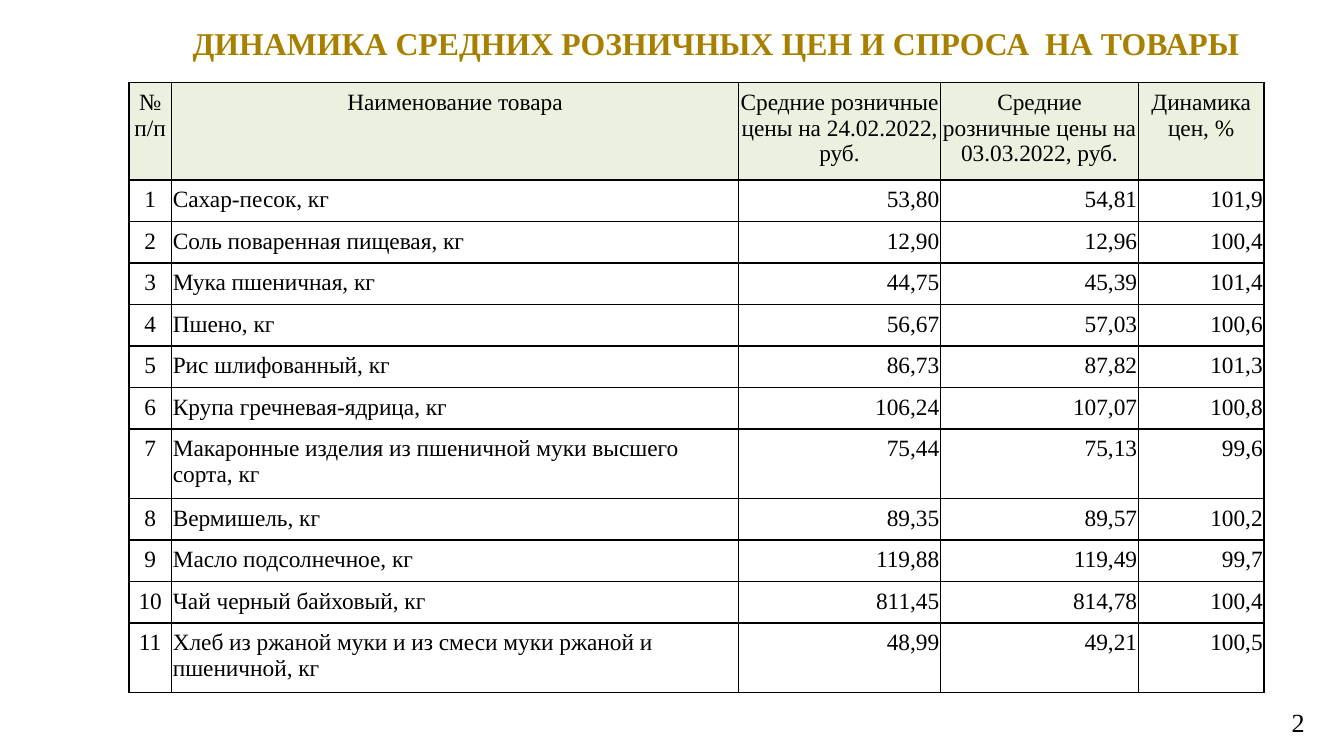
from lxml import etree
from pptx import Presentation
from pptx.dml.color import RGBColor
from pptx.enum.text import MSO_ANCHOR, MSO_AUTO_SIZE, PP_ALIGN
from pptx.oxml.ns import qn
from pptx.util import Pt

LEFT, CENTER, RIGHT = PP_ALIGN.LEFT, PP_ALIGN.CENTER, PP_ALIGN.RIGHT
TOP, MIDDLE = MSO_ANCHOR.TOP, MSO_ANCHOR.MIDDLE
NO_AUTOFIT = MSO_AUTO_SIZE.NONE
TITLE_ONLY = 5

GOLD = RGBColor(0xA8, 0x80, 0x00)
BLACK = RGBColor(0x00, 0x00, 0x00)
WHITE = RGBColor(0xFF, 0xFF, 0xFF)
PALE_GREEN = RGBColor(0xEB, 0xF1, 0xDE)

HEADINGS = (
    "№ п/п",
    "Наименование товара",
    "Средние розничные цены на 24.02.2022, руб.",
    "Средние розничные цены на 03.03.2022, руб.",
    "Динамика цен, %",
)
GOODS = (
    ("Сахар-песок, кг", "53,80", "54,81", "101,9"),
    ("Соль поваренная пищевая, кг", "12,90", "12,96", "100,4"),
    ("Мука пшеничная, кг", "44,75", "45,39", "101,4"),
    ("Пшено, кг", "56,67", "57,03", "100,6"),
    ("Рис шлифованный, кг", "86,73", "87,82", "101,3"),
    ("Крупа гречневая-ядрица, кг", "106,24", "107,07", "100,8"),
    ("Макаронные изделия из пшеничной муки высшего сорта, кг", "75,44", "75,13", "99,6"),
    ("Вермишель, кг", "89,35", "89,57", "100,2"),
    ("Масло подсолнечное, кг", "119,88", "119,49", "99,7"),
    ("Чай черный байховый, кг", "811,45", "814,78", "100,4"),
    ("Хлеб из ржаной муки и из смеси муки ржаной и пшеничной, кг", "48,99", "49,21", "100,5"),
)
COLUMN_WIDTHS = (22.9, 303.8, 108.2, 106, 67.3)
COLUMN_ALIGNS = (CENTER, LEFT, RIGHT, RIGHT, RIGHT)
HEADER_HEIGHT, LINE_HEIGHT, DOUBLE_HEIGHT = 51, 22, 35.9
ONE_LINE_LIMIT = 45


class PriceSlide:
    """Hold the style and the current slide, and add its elements."""

    font_name = "Times New Roman"
    table_size = 12.5
    border_width = 0.96

    def __init__(self, deck):
        self.slide = deck.slides.add_slide(deck.slide_layouts[TITLE_ONLY])

    def style(self, frame, size, color, align, bold=False):
        for paragraph in frame.paragraphs:
            paragraph.alignment = align
            for run in paragraph.runs:
                run.font.name = self.font_name
                run.font.size = Pt(size)
                run.font.bold = bold
                run.font.color.rgb = color

    def title(self, text, left, top, width, height):
        heading = self.slide.shapes.title
        heading.left, heading.top = Pt(left), Pt(top)
        heading.width, heading.height = Pt(width), Pt(height)
        frame = heading.text_frame
        frame.auto_size = NO_AUTOFIT
        frame.vertical_anchor = MIDDLE
        frame.margin_right = Pt(20)
        frame.text = text
        self.style(frame, 17, GOLD, CENTER, bold=True)

    def page_number(self, text, left, top, width, height):
        number = self.slide.shapes.add_textbox(Pt(left), Pt(top), Pt(width), Pt(height))
        frame = number.text_frame
        frame.word_wrap = True
        frame.text = text
        self.style(frame, 14, BLACK, RIGHT)

    def border(self, cell):
        properties = cell._tc.get_or_add_tcPr()
        for side in ("a:lnL", "a:lnR", "a:lnT", "a:lnB"):
            line = etree.SubElement(properties, qn(side), w=str(Pt(self.border_width)))
            fill = etree.SubElement(line, qn("a:solidFill"))
            etree.SubElement(fill, qn("a:srgbClr"), val=str(BLACK))

    def cell(self, cell, text, align, fill):
        cell.margin_left = cell.margin_right = Pt(0.72)
        cell.margin_top = cell.margin_bottom = Pt(3.6)
        cell.vertical_anchor = TOP
        cell.text_frame.text = text
        self.style(cell.text_frame, self.table_size, BLACK, align)
        self.border(cell)
        cell.fill.solid()
        cell.fill.fore_color.rgb = fill

    def price_table(self, left, top):
        heights = [HEADER_HEIGHT] + [
            DOUBLE_HEIGHT if len(product[0]) > ONE_LINE_LIMIT else LINE_HEIGHT
            for product in GOODS
        ]
        prices = self.slide.shapes.add_table(
            len(heights), len(COLUMN_WIDTHS), Pt(left), Pt(top),
            Pt(sum(COLUMN_WIDTHS)), Pt(sum(heights)),
        ).table
        for column, width in zip(prices.columns, COLUMN_WIDTHS):
            column.width = Pt(width)
        for row, height in zip(prices.rows, heights):
            row.height = Pt(height)
        for column, heading in enumerate(HEADINGS):
            self.cell(prices.cell(0, column), heading, CENTER, PALE_GREEN)
        for row, product in enumerate(GOODS, 1):
            for column, value in enumerate((str(row), *product)):
                self.cell(prices.cell(row, column), value, COLUMN_ALIGNS[column], WHITE)


def main():
    deck = Presentation()
    deck.slide_width, deck.slide_height = Pt(720), Pt(405)
    page = PriceSlide(deck)
    page.title("ДИНАМИКА СРЕДНИХ РОЗНИЧНЫХ ЦЕН И СПРОСА  НА ТОВАРЫ", 79.8, 9, 620.6, 28)
    page.page_number("2", 672.2, 375, 33.8, 18.7)
    page.price_table(69, 44.3)
    deck.save("out.pptx")


if __name__ == "__main__":
    main()
